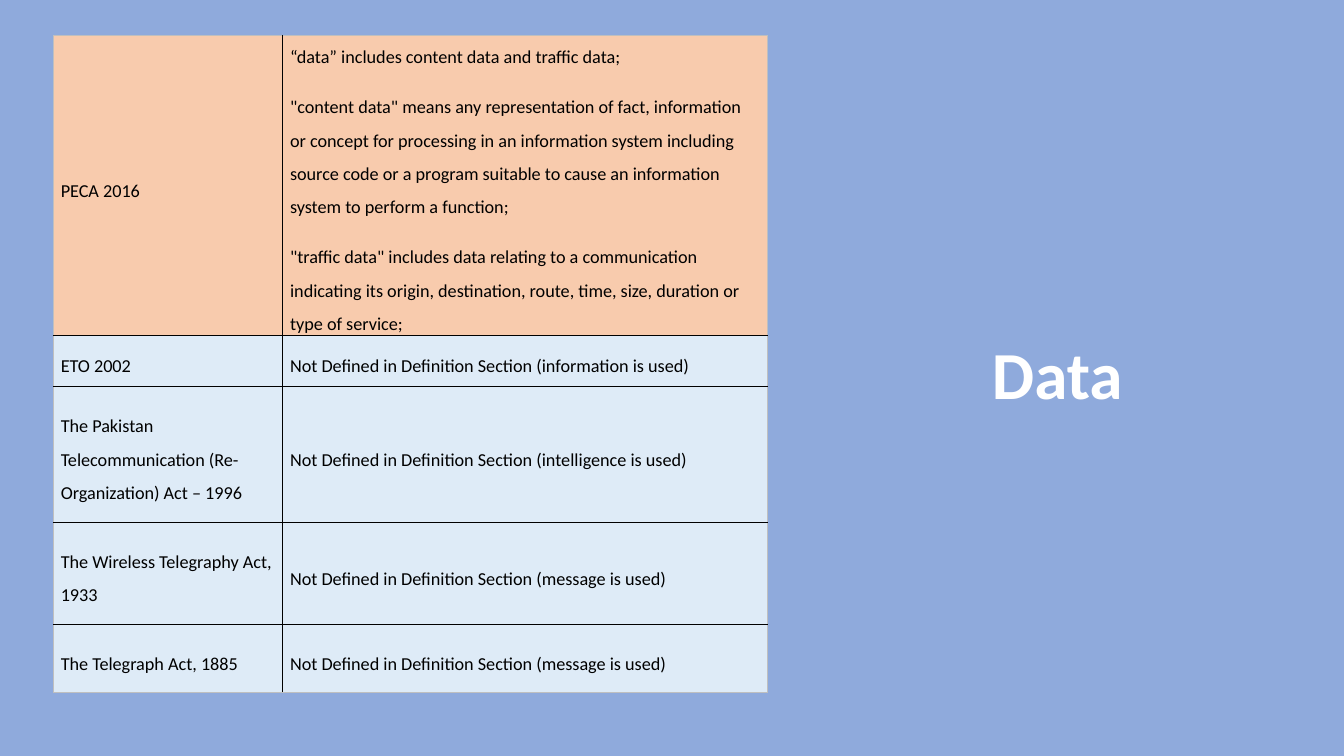
from lxml.etree import SubElement
from pptx import Presentation
from pptx.dml.color import RGBColor
from pptx.enum.text import MSO_ANCHOR, PP_ALIGN
from pptx.oxml.ns import qn
from pptx.util import Pt

BLACK, EDGE = "000000", "BFBFBF"


def color(hex_value):
    return RGBColor.from_string(hex_value)


def write(frame, *texts, size, ink=BLACK, bold=False, align=PP_ALIGN.LEFT,
          spacing=1.0, gap=0):
    """Fill a text frame, one paragraph per text."""
    frame.word_wrap = True
    for index, text in enumerate(texts):
        para = frame.paragraphs[0] if index == 0 else frame.add_paragraph()
        para.alignment = align
        para.line_spacing = spacing
        para.space_before = Pt(gap if index else 0)
        para.space_after = Pt(gap)
        span = para.add_run()
        span.text = text
        span.font.name = "Calibri"
        span.font.size = Pt(size)
        span.font.bold = bold
        span.font.color.rgb = color(ink)


# Slide and background
deck = Presentation()
deck.slide_width, deck.slide_height = Pt(960), Pt(540)
page = deck.slides.add_slide(deck.slide_layouts[6])
page.background.fill.solid()
page.background.fill.fore_color.rgb = color("8FAADC")

# Title
title = page.shapes.add_textbox(Pt(611.3), Pt(72), Pt(288), Pt(227.5))
title.text_frame.vertical_anchor = MSO_ANCHOR.BOTTOM
write(title.text_frame, "Data", size=48, ink="FFFFFF", bold=True,
      align=PP_ALIGN.CENTER, spacing=0.9)

# Definitions by act: row height, fill, act, definition paragraphs
PEACH, PALE_BLUE = "F8CBAD", "DEEBF7"
UNDEFINED = "Not Defined in Definition Section ({} is used)"
acts = [
    (214.3, PEACH, "PECA 2016", [
        "“data” includes content data and traffic data;",
        '"content data" means any representation of fact, information or concept '
        "for processing in an information system including source code or a "
        "program suitable to cause an information system to perform a function;",
        '"traffic data" includes data relating to a communication indicating its '
        "origin, destination, route, time, size, duration or type of service;",
    ]),
    (36.5, PALE_BLUE, "ETO 2002", [UNDEFINED.format("information")]),
    (97.2, PALE_BLUE, "The Pakistan Telecommunication (Re-Organization) Act – 1996",
     [UNDEFINED.format("intelligence")]),
    (72.8, PALE_BLUE, "The Wireless Telegraphy Act, 1933",
     [UNDEFINED.format("message")]),
    (48.6, PALE_BLUE, "The Telegraph Act, 1885", [UNDEFINED.format("message")]),
]
widths = [163.8, 346.6]

# Table
table = page.shapes.add_table(
    len(acts), len(widths), Pt(38), Pt(25.2),
    Pt(sum(widths)), Pt(sum(act[0] for act in acts))).table
table.first_row = table.horz_banding = False
for column, width in zip(table.columns, widths):
    column.width = Pt(width)

for r, (height, fill, act, definition) in enumerate(acts):
    table.rows[r].height = Pt(height)
    for c, texts in enumerate([[act], definition]):
        cell = table.cell(r, c)
        cell.margin_left = cell.margin_right = Pt(5.4)
        cell.margin_top = cell.margin_bottom = 0
        cell.vertical_anchor = MSO_ANCHOR.MIDDLE
        write(cell.text_frame, *texts, size=13, spacing=1.5, gap=6)

        # Black rules inside, a thin grey edge outside
        outer = {"a:lnL": c == 0, "a:lnR": c == len(widths) - 1,
                 "a:lnT": r == 0, "a:lnB": r == len(acts) - 1}
        properties = cell._tc.get_or_add_tcPr()
        for side, is_outer in outer.items():
            line = SubElement(properties, qn(side), w=str(Pt(0.5 if is_outer else 1)))
            paint = SubElement(line, qn("a:solidFill"))
            SubElement(paint, qn("a:srgbClr"), val=EDGE if is_outer else BLACK)

        cell.fill.solid()
        cell.fill.fore_color.rgb = color(fill)

deck.save("out.pptx")
